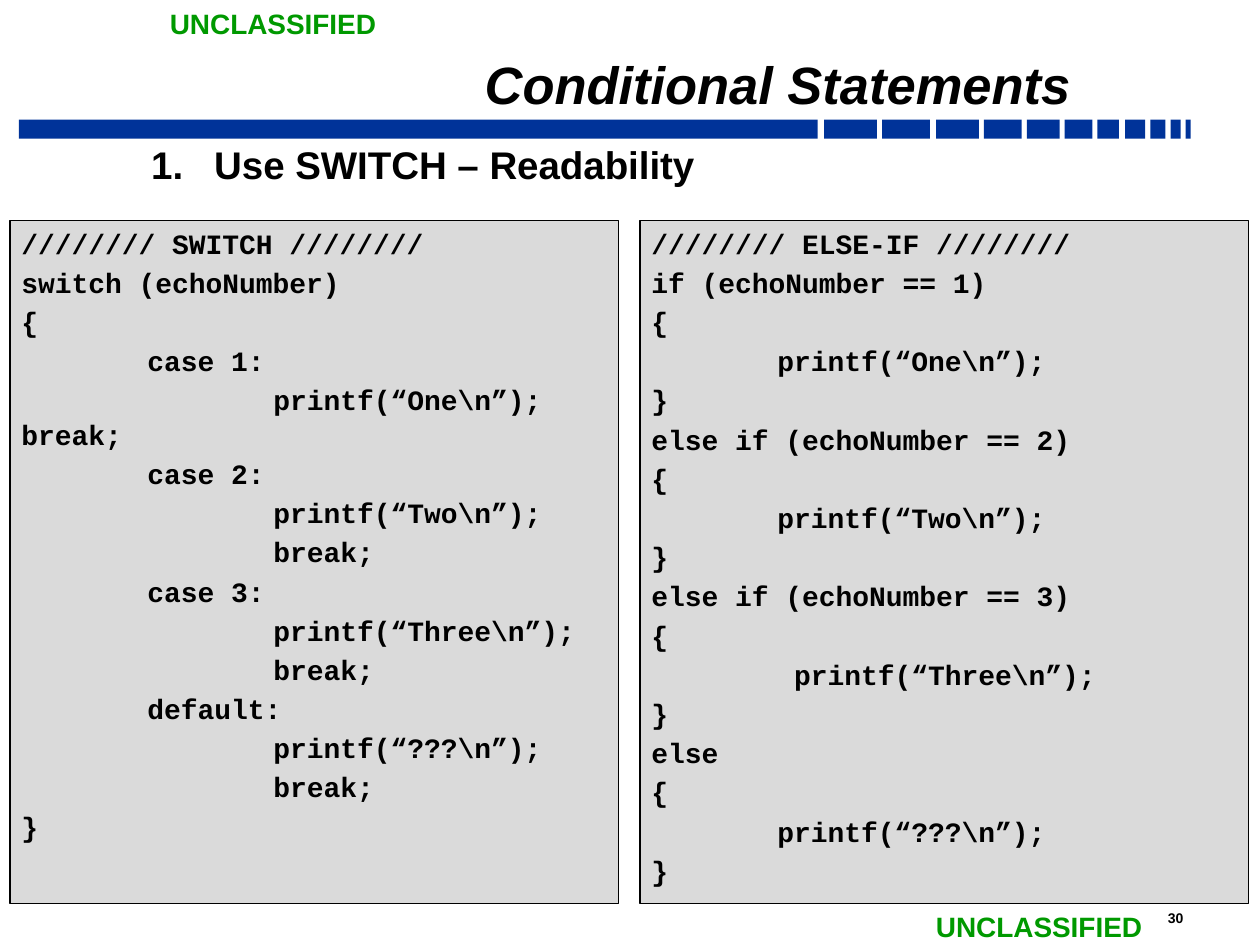
import pptx
import pptx.dml.color
import pptx.enum.shapes
import pptx.enum.text
import pptx.oxml.ns
import pptx.util
from lxml import etree
from pptx.util import Inches

BLACK, BLUE, GREEN, GREY = "000000", "003399", "009900", "DADADA"
BAR_SPANS = [
    (0.15, 6.34), (6.54, 0.42), (7, 0.38), (7.43, 0.34), (7.81, 0.3), (8.15, 0.26),
    (8.45, 0.22), (8.71, 0.17), (8.93, 0.16), (9.13, 0.12), (9.29, 0.08), (9.41, 0.04),
]
TIGHT_MARGINS = {
    "margin_left": Inches(0.09), "margin_right": Inches(0.09),
    "margin_top": Inches(0.04), "margin_bottom": Inches(0.04),
}


def color(hex_value):
    return pptx.dml.color.RGBColor.from_string(hex_value)


def set_values(target, values):
    for name, value in values.items():
        setattr(target, name, value)


def place(shape, left, top, width, height):
    set_values(shape, {"left": Inches(left), "top": Inches(top),
                       "width": Inches(width), "height": Inches(height)})


def add_run(paragraph, text, size, hex_value=BLACK, name="Arial", italic=False):
    run = paragraph.add_run()
    run.text = text
    set_values(run.font, {"name": name, "size": pptx.util.Pt(size), "bold": True, "italic": italic})
    run.font.color.rgb = color(hex_value)


def add_child(parent, tag, **attributes):
    child = etree.SubElement(parent, pptx.oxml.ns.qn(tag))
    for name, value in attributes.items():
        child.set(name, str(value))
    return child


def add_rectangle(slide, left, top, width, height, fill):
    shape = slide.shapes.add_shape(
        pptx.enum.shapes.MSO_SHAPE.RECTANGLE,
        Inches(left), Inches(top), Inches(width), Inches(height))
    shape.shadow.inherit = False
    shape.fill.solid()
    shape.fill.fore_color.rgb = color(fill)
    shape.line.fill.background()
    return shape


def add_label(slide, text, left, top, width, height, size, hex_value, wrap):
    box = slide.shapes.add_textbox(Inches(left), Inches(top), Inches(width), Inches(height))
    box.text_frame.word_wrap = wrap
    add_run(box.text_frame.paragraphs[0], text, size, hex_value)


def fill_title(title, text):
    place(title, 1.67, 0.35, 6.92, 0.59)
    frame = title.text_frame
    set_values(frame, TIGHT_MARGINS | {
        "vertical_anchor": pptx.enum.text.MSO_ANCHOR.BOTTOM,
        "auto_size": pptx.enum.text.MSO_AUTO_SIZE.NONE})
    paragraph = frame.paragraphs[0]
    set_values(paragraph, {"alignment": pptx.enum.text.PP_ALIGN.RIGHT, "line_spacing": 0.7})
    add_run(paragraph, text, 30, italic=True)


def fill_numbered_body(body, text):
    place(body, 0.61, 1.08, 9.07, 5.17)
    set_values(body.text_frame, TIGHT_MARGINS | {
        "auto_size": pptx.enum.text.MSO_AUTO_SIZE.NONE})
    paragraph = body.text_frame.paragraphs[0]
    set_values(paragraph, {"level": 1, "space_before": pptx.util.Pt(4.4)})
    properties = paragraph._p.get_or_add_pPr()
    properties.set("marL", str(Inches(1)))
    properties.set("indent", str(-Inches(0.5)))
    bullet_color = add_child(properties, "a:buClr")
    add_child(bullet_color, "a:srgbClr", val=BLACK)
    add_child(properties, "a:buFont", typeface="+mj-lt")
    add_child(properties, "a:buAutoNum", type="arabicPeriod")
    add_run(paragraph, text, 22)


def add_code_panel(slide, left, lines):
    panel = add_rectangle(slide, left, 1.75, 4.83, 5.42, GREY)
    panel.line.color.rgb = color(BLACK)
    panel.line.width = pptx.util.Pt(1)
    frame = panel.text_frame
    set_values(frame, TIGHT_MARGINS | {
        "word_wrap": True, "vertical_anchor": pptx.enum.text.MSO_ANCHOR.TOP})
    for index, line in enumerate(lines):
        paragraph = frame.add_paragraph() if index else frame.paragraphs[0]
        set_values(paragraph, {
            "alignment": pptx.enum.text.PP_ALIGN.LEFT,
            "line_spacing": pptx.util.Pt(19.6), "space_before": pptx.util.Pt(2.8)})
        tabs = add_child(paragraph._p.get_or_add_pPr(), "a:tabLst")
        for stop in range(1, 7):
            add_child(tabs, "a:tab", pos=int(Inches(stop)), algn="l")
        add_run(paragraph, line, 16, name="Courier New")


def print_call(word):
    return f"printf(“{word}\\n”);"


def switch_lines():
    lines = ["//////// SWITCH ////////", "switch (echoNumber)", "{",
             "\tcase 1:", f"\t\t{print_call('One')}\t\tbreak;\t"]
    for label, word in [("case 2", "Two"), ("case 3", "Three"), ("default", "???")]:
        lines += [f"\t{label}:", f"\t\t{print_call(word)}", "\t\tbreak;"]
    return lines + ["}"]


def else_if_lines():
    branches = [
        ("if (echoNumber == 1)", f"\t{print_call('One')}\t"),
        ("else if (echoNumber == 2)", f"\t{print_call('Two')}"),
        ("else if (echoNumber == 3)", f"\t {print_call('Three')} \t"),
        ("else", f"\t{print_call('???')}"),
    ]
    lines = ["//////// ELSE-IF ////////"]
    for condition, statement in branches:
        lines += [condition, "{", statement, "}"]
    return lines


def main():
    presentation = pptx.Presentation()
    set_values(presentation, {"slide_width": Inches(10), "slide_height": Inches(7.5)})
    slide = presentation.slides.add_slide(presentation.slide_layouts[1])
    for left, width in BAR_SPANS:
        add_rectangle(slide, left, 0.95, width, 0.15, BLUE)
    add_label(slide, "30", 9.17, 7.17, 0.54, 0.23, 8, BLACK, True)
    for left, top in [(1.25, 0), (7.33, 7.17)]:
        add_label(slide, "UNCLASSIFIED", left, top, 1.86, 0.37, 16, GREEN, False)
    fill_title(slide.shapes.title, "Conditional Statements")
    fill_numbered_body(slide.placeholders[1], "Use SWITCH – Readability")
    add_code_panel(slide, 0.08, switch_lines())
    add_code_panel(slide, 5.08, else_if_lines())
    presentation.save("out.pptx")


if __name__ == "__main__":
    main()
